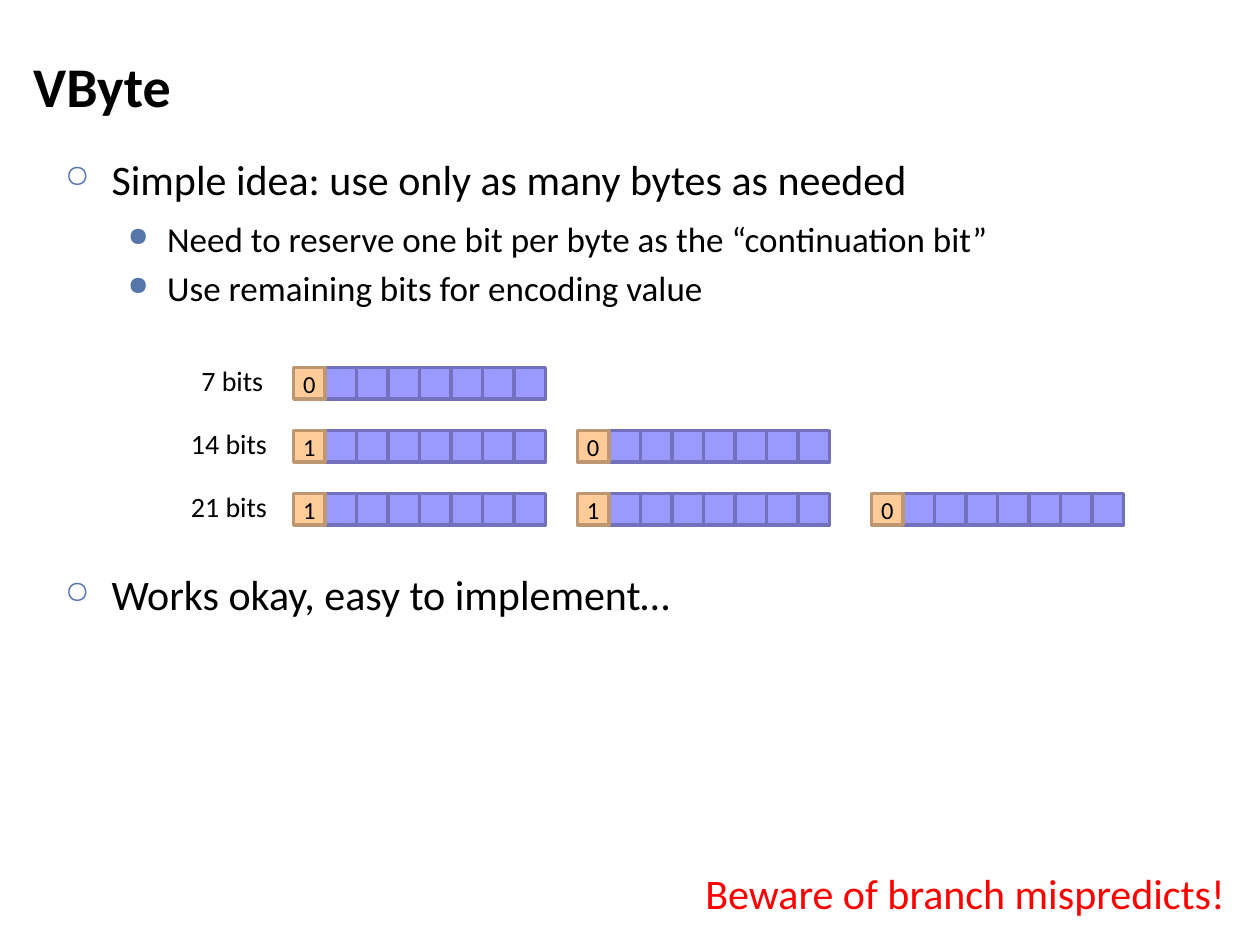
"""Build the VByte slide showing how continuation bits mark byte-aligned codes."""
from dataclasses import dataclass

from lxml import etree
from pptx import Presentation
from pptx.dml.color import RGBColor
from pptx.enum.shapes import MSO_SHAPE
from pptx.enum.text import MSO_ANCHOR, PP_ALIGN
from pptx.oxml.ns import qn
from pptx.util import Cm, Pt

RECTANGLE = MSO_SHAPE.RECTANGLE
TOP, MIDDLE = MSO_ANCHOR.TOP, MSO_ANCHOR.MIDDLE
CENTER = PP_ALIGN.CENTER


@dataclass(frozen=True)
class Theme:
    font: str = "Calibri"
    ink: str = "000000"
    warning: str = "FF0000"
    bullet: str = "5675A9"
    data_bit: tuple = ("9999FF", "7171BD")
    flag_bit: tuple = ("FFCC99", "BD9771")
    title_size: int = 32
    body_sizes: tuple = (24, 20)
    label_size: int = 16
    bit_size: int = 14
    warning_size: int = 24


BULLETS = (("○", 0.94, 0.94), ("●", 2.06, 0.79))
BYTE_WIDTH = 5.08
BITS_PER_BYTE = 8
BIT = BYTE_WIDTH / BITS_PER_BYTE
BYTE_LEFTS = (5.92, 11.64, 17.57)
FIRST_ROW, ROW_PITCH = 7.41, 1.27
LABEL_RISE, LABEL_HEIGHT = 0.21, 0.94

POINTS = (
    (0, "Simple idea: use only as many bytes as needed", 0, 6),
    (1, "Need to reserve one bit per byte as the “continuation bit”", 2, 2),
    (1, "Use remaining bits for encoding value", 2, 2),
    (0, "Works okay, easy to implement…", 146.5, 0),
)
CODES = (
    ("7 bits", 3.81, 1.78, "0"),
    ("14 bits", 3.6, 2.06, "10"),
    ("21 bits", 3.6, 2.06, "110"),
)


class SlideBuilder:
    def __init__(self, page, theme):
        self.page = page
        self.theme = theme

    def style(self, para, size, color, bold=False):
        for span in para.runs:
            span.font.name = self.theme.font
            span.font.size = Pt(size)
            span.font.bold = bold
            span.font.color.rgb = RGBColor.from_string(color)

    def frame(self, left, top, width, height, anchor=TOP, wrap=True):
        box = self.page.shapes.add_textbox(Cm(left), Cm(top), Cm(width), Cm(height))
        box.text_frame.word_wrap = wrap
        box.text_frame.vertical_anchor = anchor
        return box.text_frame

    def text(self, words, place, size, color, bold=False, anchor=TOP, wrap=False):
        frame = self.frame(*place, anchor=anchor, wrap=wrap)
        frame.text = words
        self.style(frame.paragraphs[0], size, color, bold)

    def bullet(self, para, level):
        mark, margin, hanging = BULLETS[level]
        properties = para._p.get_or_add_pPr()
        properties.set("marL", str(Cm(margin)))
        properties.set("indent", str(-Cm(hanging)))
        color = etree.SubElement(properties, qn("a:buClr"))
        etree.SubElement(color, qn("a:srgbClr"), val=self.theme.bullet)
        etree.SubElement(properties, qn("a:buSzPct"), val="75000")
        etree.SubElement(properties, qn("a:buChar"), char=mark)

    def outline(self, points, place):
        frame = self.frame(*place)
        for index, (level, words, before, after) in enumerate(points):
            para = frame.add_paragraph() if index else frame.paragraphs[0]
            para.text = words
            para.level = level
            self.bullet(para, level)
            para.space_before, para.space_after = Pt(before), Pt(after)
            self.style(para, self.theme.body_sizes[level], self.theme.ink)

    def bit(self, group, left, top, colors, digit=""):
        cell = group.shapes.add_shape(RECTANGLE, Cm(left), Cm(top), Cm(BIT), Cm(BIT))
        cell.shadow.inherit = False
        fill, line = colors
        cell.fill.solid()
        cell.fill.fore_color.rgb = RGBColor.from_string(fill)
        cell.line.color.rgb = RGBColor.from_string(line)
        cell.line.width = Pt(2)
        if digit:
            frame = cell.text_frame
            frame.margin_left = frame.margin_right = 0
            frame.margin_top = frame.margin_bottom = 0
            frame.vertical_anchor = MIDDLE
            frame.text = digit
            frame.paragraphs[0].alignment = CENTER
            self.style(frame.paragraphs[0], self.theme.bit_size, self.theme.ink)

    def byte(self, left, top, flag):
        group = self.page.shapes.add_group_shape()
        for index in range(1, BITS_PER_BYTE):
            self.bit(group, left + index * BIT, top, self.theme.data_bit)
        self.bit(group, left, top, self.theme.flag_bit, flag)


def main():
    deck = Presentation()
    deck.slide_width, deck.slide_height = Cm(25.4), Cm(19.05)
    theme = Theme()
    slide = SlideBuilder(deck.slides.add_slide(deck.slide_layouts[6]), theme)

    slide.text("VByte", (0.42, 0.3, 24.13, 2.84), theme.title_size, theme.ink,
               bold=True, anchor=MIDDLE, wrap=True)
    slide.outline(POINTS, (1.06, 2.96, 23.5, 14.18))
    for row, (label, left, width, flags) in enumerate(CODES):
        top = FIRST_ROW + row * ROW_PITCH
        for byte_left, flag in zip(BYTE_LEFTS, flags):
            slide.byte(byte_left, top, flag)
        slide.text(label, (left, top - LABEL_RISE, width, LABEL_HEIGHT),
                   theme.label_size, theme.ink)
    slide.text("Beware of branch mispredicts!", (13.97, 17.36, 11.05, 1.27),
               theme.warning_size, theme.warning)
    deck.save("out.pptx")


if __name__ == "__main__":
    main()
